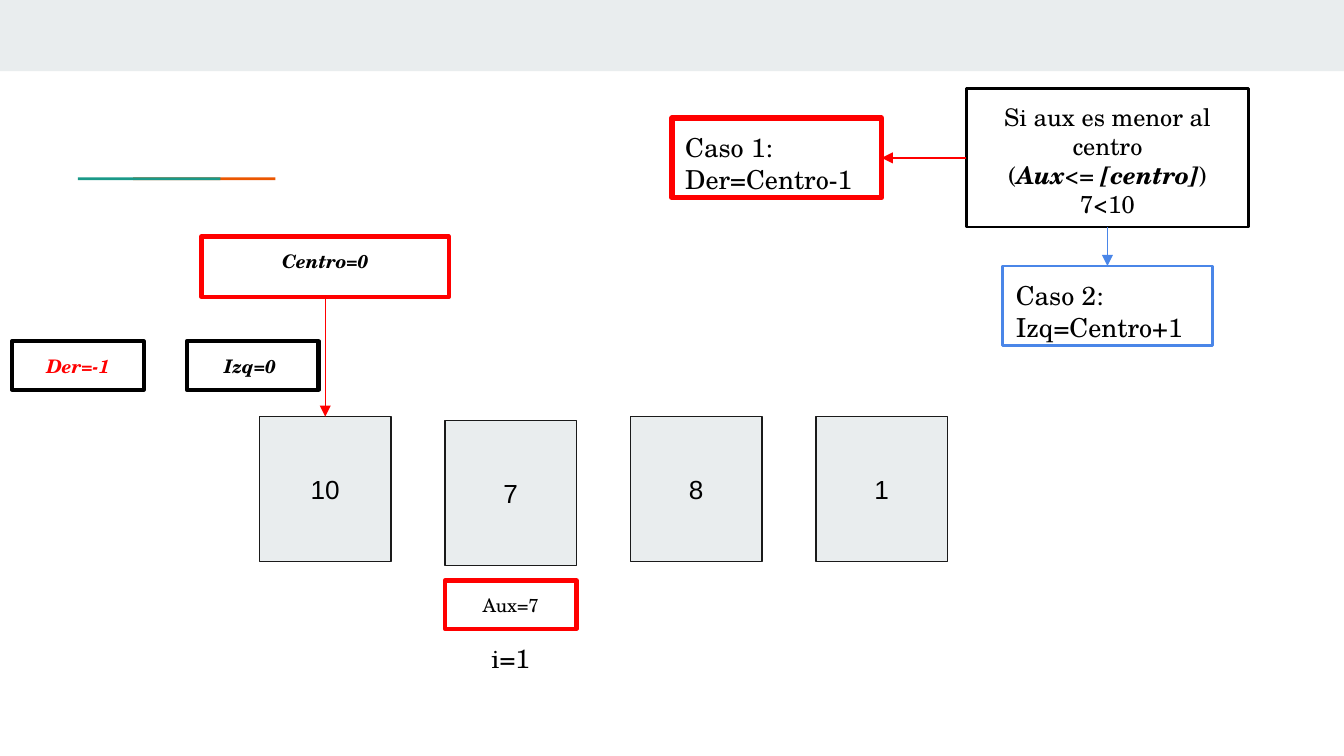
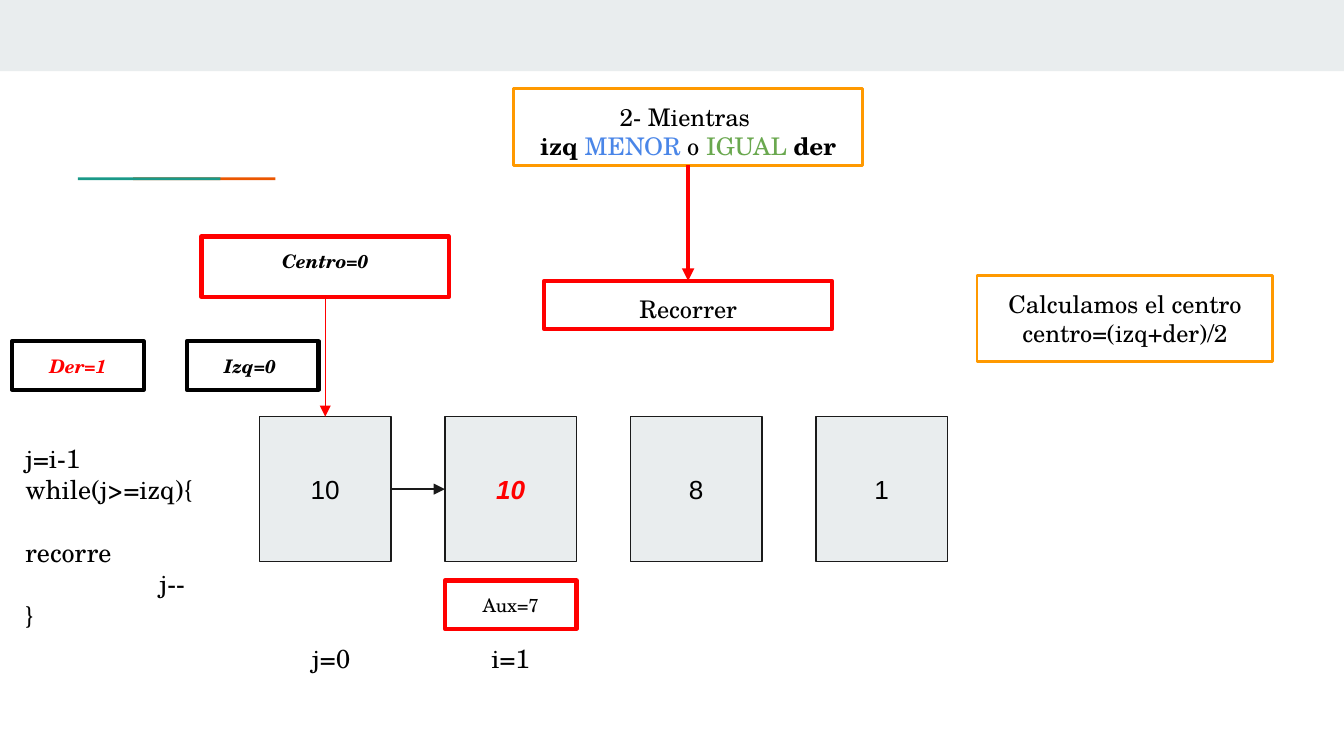
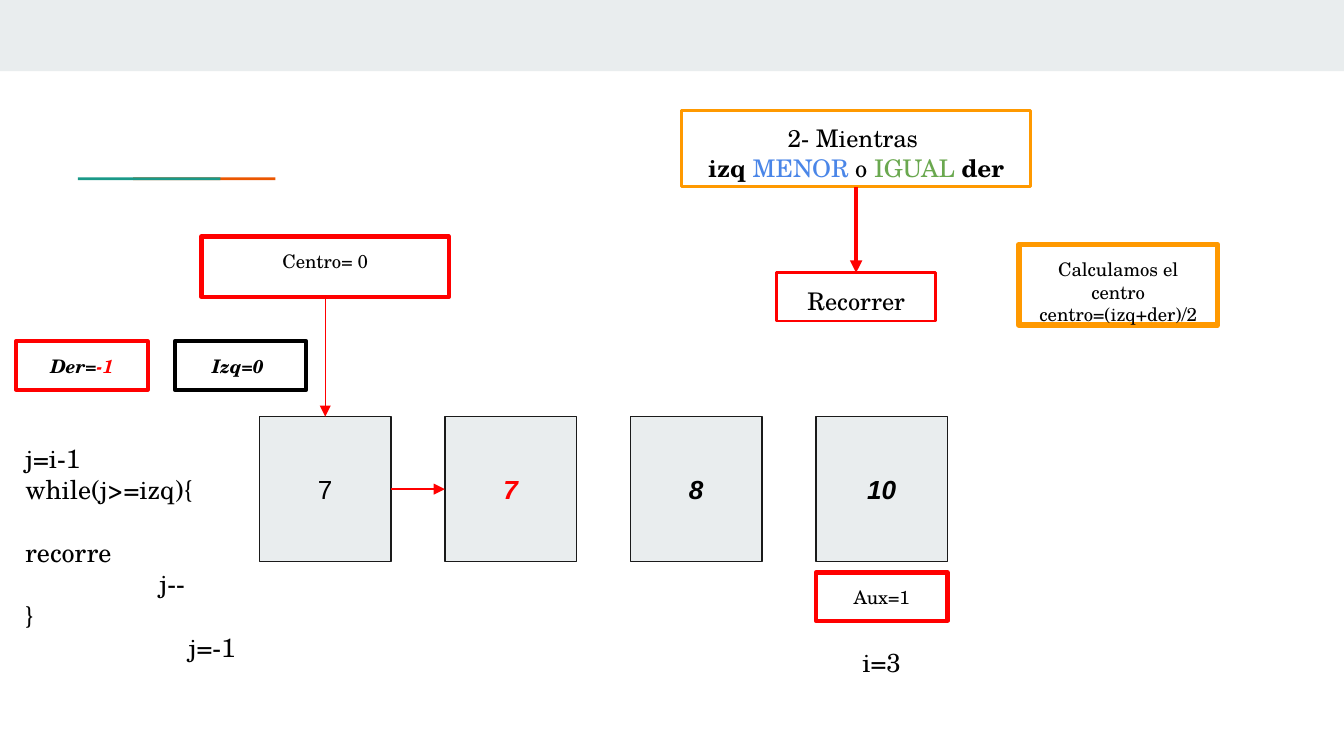
from dataclasses import dataclass
from enum import IntEnum

from lxml.etree import SubElement
from pptx import Presentation
from pptx.dml.color import RGBColor
from pptx.enum.shapes import MSO_CONNECTOR as Connector, MSO_SHAPE as Preset
from pptx.enum.text import MSO_ANCHOR as Anchor, PP_ALIGN as Align
from pptx.oxml.ns import qn
from pptx.util import Inches, Pt

# Shared look
SERIF, SANS = "TeX Gyre Schola", "Arial"
BLACK, INK, RED, ORANGE = "000000", "1A1A1A", "FF0000", "FF9900"
BLUE, GREEN, TEAL, RUST, PALE = "4A86E8", "6AA84F", "1A9988", "EB5600", "E9EDEE"

# Array of cells, and the small labels around it
CELL_LEFT, CELL_TOP, CELL_WIDTH, CELL_HEIGHT = 1.93, 3.1, 0.98, 1.08
CELL_STEP = 1.38
LABEL_HEIGHT, POINTER_TOP = 0.36, 2.54


class Side(IntEnum):
    TOP = 0
    LEFT = 1
    BOTTOM = 2
    RIGHT = 3


@dataclass(frozen=True)
class Span:
    text: str
    color: str = BLACK
    bold: bool = False
    italic: bool = False


@dataclass(frozen=True)
class Box:
    left: float
    top: float
    width: float
    height: float
    lines: tuple = ()  # paragraphs, each a tuple of spans
    size: float = 10
    outline: str | None = None
    weight: float = 2.25
    fill: str | None = None
    font: str = SERIF
    align: Align = Align.CENTER
    anchor: Anchor = Anchor.TOP
    tab: float | None = None


def rgb(color: str) -> RGBColor:
    return RGBColor.from_string(color)


def strong(text: str, color: str = BLACK) -> Span:
    return Span(text, color, bold=True, italic=True)


# Drawing
def write_para(para, spans: tuple, box: Box) -> None:
    para.alignment = box.align
    if box.tab is not None:
        stops = SubElement(para._p.get_or_add_pPr(), qn("a:tabLst"))
        SubElement(stops, qn("a:tab"), pos=str(Inches(box.tab)), algn="l")
    for span in spans:
        for number, piece in enumerate(span.text.split("\n")):
            if number:
                para.add_line_break()
            if not piece:
                continue
            run = para.add_run()
            run.text = piece
            run.font.name = box.font
            run.font.size = Pt(box.size)
            run.font.bold, run.font.italic = span.bold, span.italic
            run.font.color.rgb = rgb(span.color)


def write_text(frame, box: Box) -> None:
    frame.word_wrap = True
    frame.vertical_anchor = box.anchor
    frame.margin_left = frame.margin_right = Inches(0.1)
    frame.margin_top = frame.margin_bottom = Inches(0.1)
    for number, spans in enumerate(box.lines):
        para = frame.add_paragraph() if number else frame.paragraphs[0]
        write_para(para, spans, box)


def draw_box(page, box: Box):
    place = [Inches(n) for n in (box.left, box.top, box.width, box.height)]
    if box.outline is None and box.fill is None:
        shape = page.shapes.add_textbox(*place)
    else:
        shape = page.shapes.add_shape(Preset.RECTANGLE, *place)
        shape.shadow.inherit = False
        if box.fill:
            shape.fill.solid()
            shape.fill.fore_color.rgb = rgb(box.fill)
        else:
            shape.fill.background()
        if box.outline:
            shape.line.color.rgb = rgb(box.outline)
            shape.line.width = Pt(box.weight)
        else:
            shape.line.fill.background()
    if box.lines:
        write_text(shape.text_frame, box)
    return shape


def draw_arrow(page, start, start_side: Side, end, end_side: Side,
               color: str = RED, weight: float = 0.75) -> None:
    arrow = page.shapes.add_connector(Connector.STRAIGHT, 0, 0, 0, 0)
    arrow.begin_connect(start, start_side)
    arrow.end_connect(end, end_side)
    arrow.line.color.rgb = rgb(color)
    arrow.line.width = Pt(weight)
    properties = arrow.element.spPr
    SubElement(properties.find(qn("a:ln")), qn("a:tailEnd"), type="triangle")
    SubElement(properties, qn("a:effectLst"))


# Parts of the sorting diagram
def add_page(deck):
    page = deck.slides.add_slide(deck.slide_layouts[6])
    draw_box(page, Box(0, 0, 10, 0.53, fill=PALE))
    for left, color in ((0.99, RUST), (0.58, TEAL)):
        draw_box(page, Box(left, 1.32, 1.06, 0.02, fill=color))
    return page


def cell_left(index: int) -> float:
    return CELL_LEFT + index * CELL_STEP


def draw_cells(page, values: list[Span], lowered: int | None = None) -> list:
    return [
        draw_box(page, Box(
            cell_left(index), CELL_TOP + (0.03 if index == lowered else 0),
            CELL_WIDTH, CELL_HEIGHT, ((value,),), 14, INK, 0.75, PALE, SANS,
            anchor=Anchor.MIDDLE))
        for index, value in enumerate(values)
    ]


def draw_label(page, left: float, top: float, *spans: Span,
               outline: str = BLACK) -> None:
    draw_box(page, Box(left, top, CELL_WIDTH, LABEL_HEIGHT, (spans,),
                       outline=outline))


def draw_counter(page, left: float, top: float, width: float, text: str) -> None:
    draw_box(page, Box(left, top, width, LABEL_HEIGHT, ((Span(text),),), 14))


def draw_aux(page, index: int, top: float, counter_top: float, value: int) -> None:
    left = cell_left(index)
    draw_label(page, left, top, Span(f"Aux={value}"), outline=RED)
    draw_counter(page, left + 0.23, counter_top, 0.52, f"i={index}")


def draw_centre(page, span: Span, first_cell) -> None:
    centre = draw_box(page, Box(1.5, 1.76, 1.84, 0.45, ((span,),), outline=RED))
    draw_arrow(page, centre, Side.BOTTOM, first_cell, Side.TOP)


def draw_case(page, left: float, top: float, text: str, outline: str,
              weight: float):
    return draw_box(page, Box(left, top, 1.56, 0.59, ((Span(text),),), 14,
                              outline, weight, align=Align.LEFT))


def draw_loop(page, left: float, top: float, step: Box) -> None:
    condition = (
        Span("2- Mientras \n"), Span("izq ", bold=True), Span("MENOR", BLUE),
        Span(" o "), Span("IGUAL ", GREEN), Span("der", bold=True),
    )
    loop = draw_box(page, Box(left, top, 2.6, 0.57, (condition,), 13, ORANGE, 1.5))
    draw_arrow(page, loop, Side.BOTTOM, draw_box(page, step), Side.TOP, weight=2.25)


def draw_formula(page, left: float, top: float, width: float, height: float,
                 size: float, weight: float) -> None:
    lines = (Span("Calculamos el centro"),), (Span("centro=(izq+der)/2"),)
    draw_box(page, Box(left, top, width, height, lines, size, ORANGE, weight))


def draw_code(page) -> None:
    lines = (Span("j=i-1\nwhile(j>=izq){\n\trecorre\n\tj--"),), (Span("}"),)
    draw_box(page, Box(0.09, 3.19, 1.49, 1.3, lines, 14, align=Align.LEFT, tab=1))


# Slides
def build_comparison(deck) -> None:
    page = add_page(deck)
    cells = draw_cells(page, [Span("10"), Span("7"), Span("8"), Span("1")], lowered=1)
    draw_label(page, 1.39, POINTER_TOP, strong("Izq=0 "))
    draw_label(page, 0.09, POINTER_TOP, strong("Der=-1", RED))
    draw_centre(page, strong("Centro=0"), cells[0])
    draw_aux(page, 1, 4.32, 4.68, 7)

    question = (
        Span("Si aux es menor al centro\n("), strong("Aux"), Span("<= "),
        strong("[centro]"), Span(")\n7<10"),
    )
    decision = draw_box(page, Box(7.19, 0.66, 2.1, 1.03, (question,), 13, BLACK, 1.5))
    first = draw_case(page, 5, 0.88, "Caso 1:\nDer=Centro-1", RED, 3)
    second = draw_case(page, 7.46, 1.98, "Caso 2:\nIzq=Centro+1", BLUE, 1.5)
    draw_arrow(page, decision, Side.LEFT, first, Side.RIGHT)
    draw_arrow(page, decision, Side.BOTTOM, second, Side.TOP, BLUE)


def build_shift(deck) -> None:
    page = add_page(deck)
    cells = draw_cells(page, [Span("10"), strong("10", RED), Span("8"), Span("1")])
    draw_label(page, 1.39, POINTER_TOP, strong("Izq=0 "))
    draw_label(page, 0.09, POINTER_TOP, strong("Der=1", RED))
    draw_centre(page, strong("Centro=0"), cells[0])
    draw_aux(page, 1, 4.32, 4.68, 7)
    draw_loop(page, 3.82, 0.66, Box(4.05, 2.09, 2.14, LABEL_HEIGHT,
                                    ((Span("Recorrer"),),), 13, RED))
    draw_formula(page, 7.27, 2.05, 2.2, 0.64, 13, 1.5)
    draw_arrow(page, cells[0], Side.RIGHT, cells[1], Side.LEFT, INK)
    draw_counter(page, 2.14, 4.68, 0.65, "j=0")
    draw_code(page)


def build_last_pass(deck) -> None:
    page = add_page(deck)
    cells = draw_cells(page, [Span("7"), strong("7", RED), strong("8"), strong("10")])
    draw_label(page, 1.3, POINTER_TOP, strong("Izq=0 "))
    draw_label(page, 0.12, POINTER_TOP, strong("Der="), strong("-1", RED), outline=RED)
    draw_centre(page, Span("Centro= 0"), cells[0])
    draw_aux(page, 3, 4.26, 4.71, 1)
    draw_loop(page, 5.07, 0.82, Box(5.78, 2.03, 1.18, LABEL_HEIGHT,
                                    ((Span("Recorrer"),),), 13, RED, 1.5))
    draw_formula(page, 7.58, 1.82, 1.48, 0.6, 10, 3)
    draw_arrow(page, cells[0], Side.RIGHT, cells[1], Side.LEFT)
    draw_counter(page, 1.23, 4.6, 0.7, "j=-1")
    draw_code(page)


def main() -> None:
    deck = Presentation()
    deck.slide_width = Inches(10)
    deck.slide_height = Inches(10 * 9 / 16)  # widescreen
    for build in (build_comparison, build_shift, build_last_pass):
        build(deck)
    deck.save("out.pptx")


if __name__ == "__main__":
    main()
